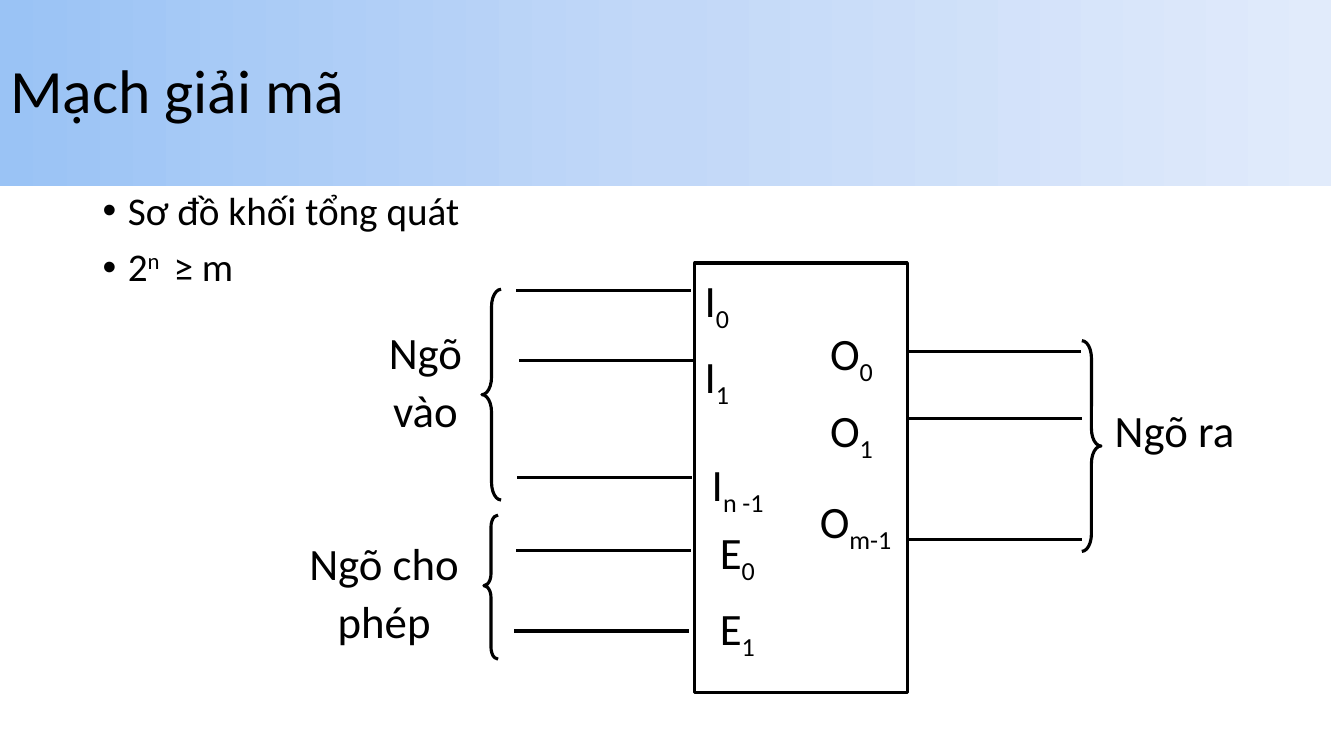
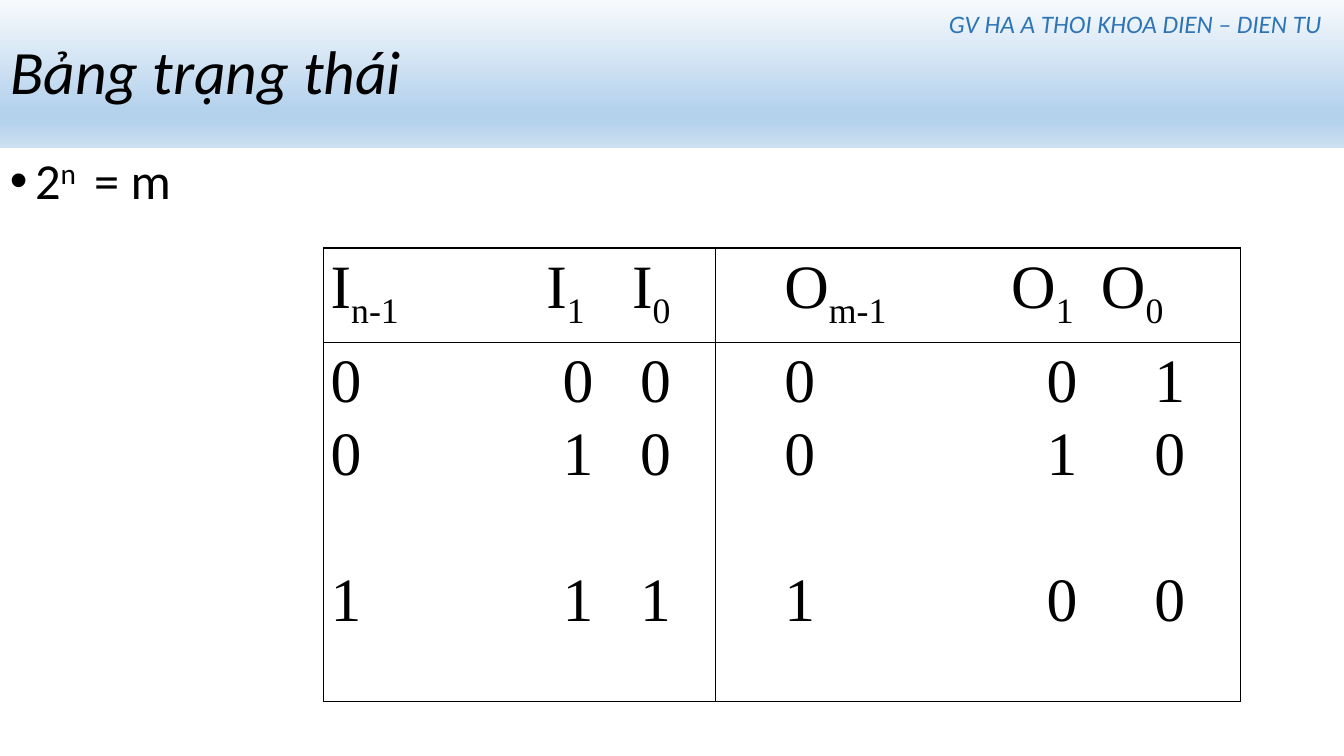
from lxml import etree
from pptx import Presentation
from pptx.dml.color import RGBColor
from pptx.enum.shapes import MSO_CONNECTOR as Connector, MSO_SHAPE as Shape
from pptx.enum.text import MSO_ANCHOR as Anchor, PP_ALIGN as Align
from pptx.oxml.ns import qn
from pptx.util import Pt

PX = 9144  # 100 px to the inch
BLACK = RGBColor(0x00, 0x00, 0x00)
TEACHER_BLUE = RGBColor(0x2E, 0x75, 0xB6)
SANS, SERIF = "Calibri", "Times New Roman"
SUB, SUPER = -25000, 30000

# In all text, every second piece between bars is a subscript or superscript.
DECODER = {
    "title": "Mạch giải mã",
    "band": (0, 0, 1320, 185),
    "stops": [(0, "9AC3F5"), (50, "C2D8F8"), (100, "E1EBFB")],
    "angle": 0,
    "bullets": ["Sơ đồ khối tổng quát", "2|n | ≥ m"],
    "bullet_box": (92, 185, 1150, 491),
    "bullet_size": 28,
}
STATES = {
    "title": "Bảng trạng thái",
    "italic": True,
    "band": (0, 0, 1333, 147),
    "stops": [(0, "F7FAFD"), (74, "B5D2EC"), (83, "B5D2EC"), (100, "CEE1F2")],
    "angle": 270,
    "bullets": ["2|n | = m"],
    "bullet_box": (0, 150, 1329, 600),
    "bullet_size": 36,
}

BLOCK = (689, 261, 211, 426)
BLOCK_INPUTS = ["I|0", "I|1", "I|n -1"]
PIN_LABELS = [
    (["O|0", "O|1"], (808, 314, 73, 160), Align.CENTER),
    (["O|m-1"], (796, 481, 105, 80), Align.CENTER),
    (["E|0", "E|1"], (704, 511, 89, 161), Align.LEFT),
]
GROUP_LABELS = [
    (["Ngõ vào"], (346, 314, 152, 136), Align.CENTER),
    (["Ngõ cho phép"], (267, 523, 228, 137), Align.CENTER),
    (["Ngõ ra"], (1076, 391, 178, 90), Align.CENTER),
]
WIRE_LENGTH = 173
WIRE_STARTS = [(512, 288), (515, 358), (513, 474), (512, 546), (510, 626),
               (899, 349), (900, 415), (900, 535)]
BRACES = [
    (Shape.LEFT_BRACE, (478, 287, 19, 209), (0.91, 0.5)),
    (Shape.LEFT_BRACE, (480, 511, 14, 143), (0.84, 0.49)),
    (Shape.RIGHT_BRACE, (1073, 338, 19, 209), (0.91, 0.5)),
]

TEACHER = "GV HA A THOI KHOA DIEN – DIEN TU"
TEACHER_BOX = (926, 3, 400, 40)
TABLE_BOX = (321, 246, 909, 450)
ROW_HEIGHTS = [94, 356]
SKIPPED_ROW = 52  # points left open before the last state
COLUMNS = [
    {"width": 389, "margin": 7, "head": "I|n-1|\tI|1|\tI|0", "head_tabs": (214, 299),
     "states": ["000", "010", "111"], "state_tabs": (230, 307)},
    {"width": 520, "margin": 68, "head": "O|m-1|\tO|1|\tO|0", "head_tabs": (225, 314),
     "states": ["001", "010", "100"], "state_tabs": (260, 367)},
]


def to_emu(lengths):
    return [length * PX for length in lengths]


def write(frame, lines, size, font=SANS, color=BLACK, italic=False, shift=SUB,
          align=Align.LEFT, spacing=1.07, after=0):
    """Fill a frame with one paragraph a line, raising or lowering every second piece."""
    frame.word_wrap = True
    for index, line in enumerate(lines):
        paragraph = frame.add_paragraph() if index else frame.paragraphs[0]
        paragraph.alignment = align
        paragraph.line_spacing = spacing
        paragraph.space_after = Pt(after)
        paragraph.space_before = Pt(0)
        for place, piece in enumerate(line.split("|")):
            run = paragraph.add_run()
            run.text = piece
            run.font.size = Pt(size)
            run.font.name = font
            run.font.color.rgb = color
            run.font.italic = italic
            if place % 2:
                run._r.get_or_add_rPr().set("baseline", str(shift))


def add_text(slide, box, lines, size, **style):
    frame = slide.shapes.add_textbox(*to_emu(box)).text_frame
    write(frame, lines, size, **style)
    return frame


def set_tabs(paragraph, positions):
    tabs = etree.SubElement(paragraph._p.get_or_add_pPr(), qn("a:tabLst"))
    for position in positions:
        etree.SubElement(tabs, qn("a:tab"), pos=str(position * PX), algn="l")


def add_bullet(paragraph):
    properties = paragraph._p.get_or_add_pPr()
    properties.set("marL", str(25 * PX))
    properties.set("indent", str(-25 * PX))
    etree.SubElement(properties, qn("a:buFont"), typeface="Arial")
    etree.SubElement(properties, qn("a:buChar"), char="•")


def fill_gradient(shape, stops, angle):
    shape.fill.gradient()
    shape.fill.gradient_angle = angle
    stop_list = shape._element.spPr.find(".//" + qn("a:gsLst"))
    for old_stop in list(stop_list):
        stop_list.remove(old_stop)
    for percent, color in stops:
        stop = etree.SubElement(stop_list, qn("a:gs"), pos=str(percent * 1000))
        etree.SubElement(stop, qn("a:srgbClr"), val=color)


def start_slide(deck, content):
    """Add a slide with its title band and bullets."""
    slide = deck.slides.add_slide(deck.slide_layouts[5])
    title = slide.shapes.title
    title.left, title.top, title.width, title.height = to_emu(content["band"])
    fill_gradient(title, content["stops"], content["angle"])
    title.text_frame.vertical_anchor = Anchor.MIDDLE
    write(title.text_frame, [content["title"]], 44, spacing=0.9,
          italic=content.get("italic", False))
    bullets = add_text(slide, content["bullet_box"], content["bullets"],
                       content["bullet_size"], shift=SUPER, spacing=0.9)
    for index, paragraph in enumerate(bullets.paragraphs):
        add_bullet(paragraph)
        if index:
            paragraph.space_before = Pt(10)
    return slide


def set_outline(shape):
    shape.line.color.rgb = BLACK
    shape.line.width = Pt(2.25)


def add_outline(slide, kind, box):
    shape = slide.shapes.add_shape(kind, *to_emu(box))
    shape.shadow.inherit = False
    shape.fill.background()
    set_outline(shape)
    return shape


def add_wire(slide, x, y):
    wire = slide.shapes.add_connector(
        Connector.STRAIGHT, *to_emu((x, y, x + WIRE_LENGTH, y)))
    set_outline(wire)
    etree.SubElement(wire._element.spPr, qn("a:effectLst"))


def draw_decoder(slide):
    block = add_outline(slide, Shape.RECTANGLE, BLOCK).text_frame
    block.vertical_anchor = Anchor.TOP
    write(block, BLOCK_INPUTS, 32, after=8)
    last_input = block.paragraphs[-1]
    last_input.space_before = Pt(22)
    last_input._p.get_or_add_pPr().set("marL", str(7 * PX))
    for x, y in WIRE_STARTS:
        add_wire(slide, x, y)
    for kind, box, bends in BRACES:
        brace = add_outline(slide, kind, box)
        for index, bend in enumerate(bends):
            brace.adjustments[index] = bend
    for lines, box, align in PIN_LABELS + GROUP_LABELS:
        add_text(slide, box, lines, 32, align=align, after=8)


def set_borders(cell):
    properties = cell._tc.get_or_add_tcPr()
    for side in ("lnL", "lnR", "lnT", "lnB"):
        border = etree.SubElement(properties, qn("a:" + side), w=str(Pt(1)))
        fill = etree.SubElement(border, qn("a:solidFill"))
        etree.SubElement(fill, qn("a:srgbClr"), val=str(BLACK))


def fill_cell(cell, lines, tabs, margin):
    set_borders(cell)
    cell.fill.background()
    cell.margin_left, cell.margin_right = to_emu((margin, 7))
    cell.margin_top = cell.margin_bottom = 0
    write(cell.text_frame, lines, 44, font=SERIF)
    for paragraph in cell.text_frame.paragraphs:
        set_tabs(paragraph, tabs)


def draw_states(slide):
    table = slide.shapes.add_table(
        len(ROW_HEIGHTS), len(COLUMNS), *to_emu(TABLE_BOX)).table
    table.first_row = table.horz_banding = False
    for row, height in zip(table.rows, ROW_HEIGHTS):
        row.height = height * PX
    for index, column in enumerate(COLUMNS):
        table.columns[index].width = column["width"] * PX
        head, body = table.cell(0, index), table.cell(1, index)
        fill_cell(head, [column["head"]], column["head_tabs"], column["margin"])
        states = ["\t".join(bits) for bits in column["states"]]
        fill_cell(body, states, column["state_tabs"], column["margin"])
        body.text_frame.paragraphs[-1].space_before = Pt(SKIPPED_ROW)
    teacher = add_text(slide, TEACHER_BOX, [TEACHER], 18, color=TEACHER_BLUE,
                       italic=True, align=Align.CENTER, spacing=1.0)
    teacher.word_wrap = False


def main():
    deck = Presentation()
    deck.slide_width, deck.slide_height = to_emu((1333, 750))
    draw_decoder(start_slide(deck, DECODER))
    draw_states(start_slide(deck, STATES))
    deck.save("out.pptx")


if __name__ == "__main__":
    main()
